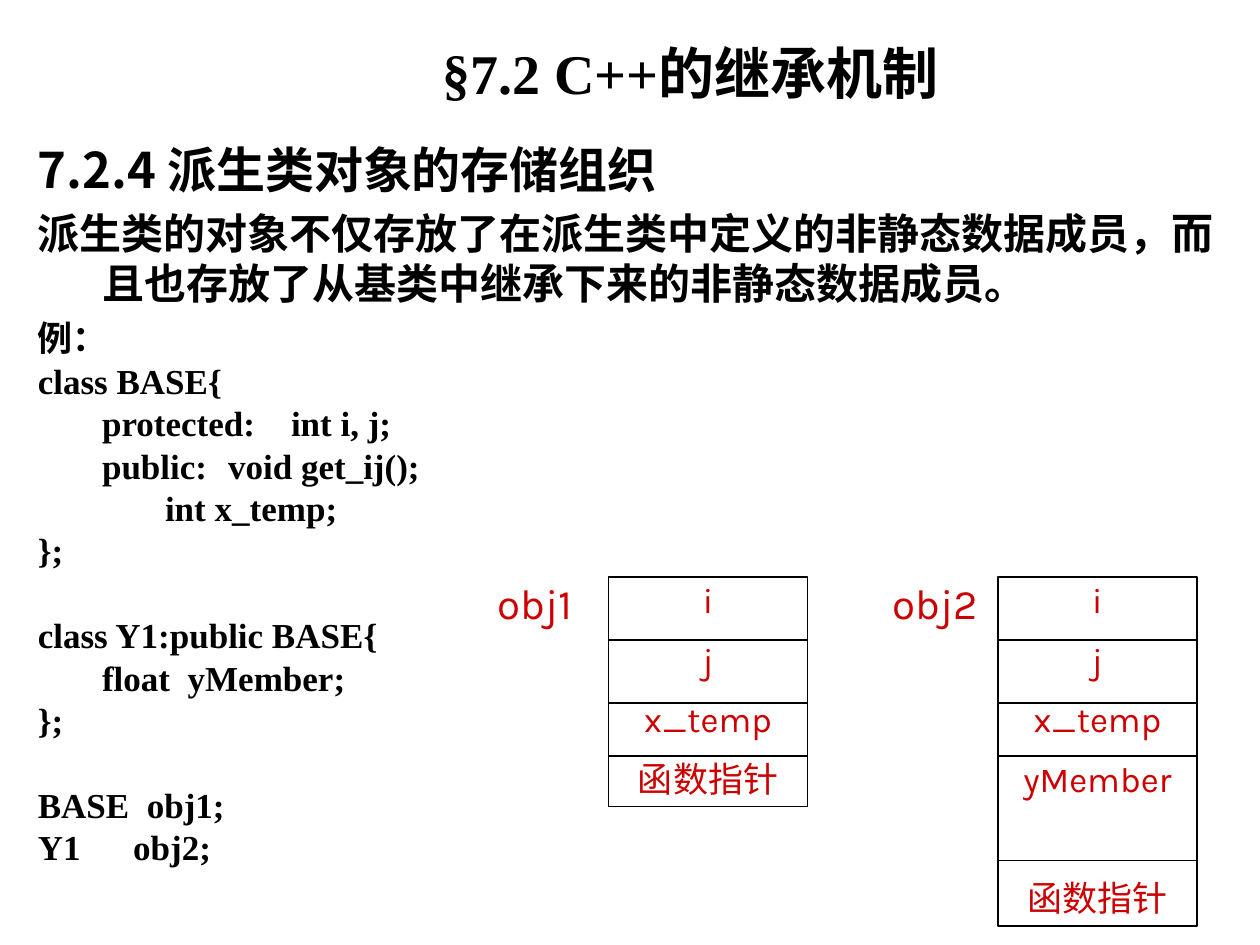
from dataclasses import dataclass
from itertools import accumulate

from lxml.etree import SubElement
from pptx import Presentation
from pptx.dml.color import RGBColor
from pptx.enum.shapes import MSO_CONNECTOR, MSO_SHAPE
from pptx.enum.text import MSO_ANCHOR, MSO_AUTO_SIZE, PP_ALIGN
from pptx.oxml.ns import qn
from pptx.util import Inches, Pt


@dataclass(frozen=True)
class Theme:
    ink: RGBColor = RGBColor(0, 0, 0)
    paper: RGBColor = RGBColor(255, 255, 255)
    accent: RGBColor = RGBColor(0xCC, 0, 0)
    serif: str = "Times New Roman"
    chinese: str = "Noto Sans CJK SC"
    diagram: str = "Karla"
    title: int = 32
    heading: int = 28
    statement: int = 24
    label: int = 24
    code: int = 20
    member: int = 20
    line: float = 0.75


THEME = Theme()

CODE_BLOCKS = [
    ["class BASE{", "\tprotected:\tint i, j;", "\tpublic:\tvoid get_ij();",
     "\t\tint x_temp;", "};"],
    ["class Y1:public BASE{", "\tfloat  yMember;", "};"],
    ["BASE  obj1;", "Y1      obj2;"],
]
BASE_ROWS = [("i", 0.5), ("j", 0.5), ("x_temp", 0.42)]
POINTER = "函数指针"


def place(shape, left, top, width, height):
    shape.left, shape.top = Inches(left), Inches(top)
    shape.width, shape.height = Inches(width), Inches(height)


def format_runs(paragraph, font_name, size, color, bold=False):
    for run in paragraph.runs:
        font = run.font
        font.name, font.size, font.bold = font_name, Pt(size), bold
        font.color.rgb = color
        east_asian = SubElement(run._r.get_or_add_rPr(), qn("a:ea"))
        east_asian.set("typeface", THEME.chinese)


def prepare_frame(shape, anchor=MSO_ANCHOR.TOP):
    text_frame = shape.text_frame
    text_frame.word_wrap = True
    text_frame.auto_size = MSO_AUTO_SIZE.NONE
    text_frame.vertical_anchor = anchor
    return text_frame


def add_title(slide, text):
    title = slide.shapes.title
    place(title, 1.22, 0.21, 8.52, 0.68)
    text_frame = prepare_frame(title, MSO_ANCHOR.BOTTOM)
    text_frame.text = text
    paragraph = text_frame.paragraphs[0]
    paragraph.alignment = PP_ALIGN.CENTER
    format_runs(paragraph, THEME.serif, THEME.title, THEME.ink, True)


def set_hanging_indent(paragraph):
    properties = paragraph._p.get_or_add_pPr()
    properties.set("marL", str(Inches(0.51)))
    properties.set("indent", str(Inches(-0.51)))
    SubElement(properties, qn("a:buNone"))
    tab_list = SubElement(properties, qn("a:tabLst"))
    for position in range(8):
        tab = SubElement(tab_list, qn("a:tab"))
        tab.set("pos", str(Inches(position)))
        tab.set("algn", "l")


def add_body(slide):
    body = slide.placeholders[1]
    place(body, 0.2, 1.15, 9.6, 6.35)
    body.fill.solid()
    body.fill.fore_color.rgb = THEME.paper
    lines = [
        ("7.2.4 派生类对象的存储组织", THEME.chinese, THEME.heading, 0.8, 0),
        ("派生类的对象不仅存放了在派生类中定义的非静态数据成员，"
         "而且也存放了从基类中继承下来的非静态数据成员。",
         THEME.chinese, THEME.statement, 1.0, 5.2),
        ("例：", THEME.serif, THEME.code, 1.0, 5),
    ]
    for block_index, block in enumerate(CODE_BLOCKS):
        for line_index, code in enumerate(block):
            starts_later_block = block_index > 0 and line_index == 0
            space = 29.2 if starts_later_block else 5
            lines.append((code, THEME.serif, THEME.code, 0.8, space))

    text_frame = prepare_frame(body)
    text_frame.text = "\n".join(line[0] for line in lines)
    for paragraph, (_, font_name, size, spacing, space) in zip(text_frame.paragraphs, lines):
        set_hanging_indent(paragraph)
        paragraph.line_spacing = spacing
        paragraph.space_before = Pt(space)
        format_runs(paragraph, font_name, size, THEME.ink, True)


def write_centered(shape, texts, size, spaces):
    text_frame = prepare_frame(shape)
    text_frame.text = "\n".join(texts)
    for paragraph, space in zip(text_frame.paragraphs, spaces):
        paragraph.alignment = PP_ALIGN.CENTER
        paragraph.line_spacing = 0.9
        paragraph.space_before = Pt(space)
        format_runs(paragraph, THEME.diagram, size, THEME.accent)


def add_divider(slide, left, top, width):
    divider = slide.shapes.add_connector(
        MSO_CONNECTOR.STRAIGHT, Inches(left), Inches(top), Inches(left + width), Inches(top))
    divider.line.color.rgb = THEME.ink
    divider.line.width = Pt(THEME.line)
    SubElement(divider._element.spPr, qn("a:effectLst"))


def add_object_layout(slide, name, label_left, box_left, rows, last_space=12.5):
    top, width = 4.58, 1.58
    members = [member for member, _ in rows]
    edges = list(accumulate(height for _, height in rows))

    label = slide.shapes.add_textbox(Inches(label_left), Inches(top), Inches(1), Inches(0.46))
    write_centered(label, [name], THEME.label, [0])

    box = slide.shapes.add_shape(
        MSO_SHAPE.RECTANGLE, Inches(box_left), Inches(top), Inches(width), Inches(edges[-1]))
    box.shadow.inherit = False
    box.fill.background()
    box.line.color.rgb = THEME.ink
    box.line.width = Pt(THEME.line)
    spaces = [0] + [12.5] * (len(rows) - 2) + [last_space]
    write_centered(box, members, THEME.member, spaces)
    for edge in edges[:-1]:
        add_divider(slide, box_left, top + edge, width)


def main():
    presentation = Presentation()
    presentation.slide_width, presentation.slide_height = Inches(10), Inches(7.5)
    slide = presentation.slides.add_slide(presentation.slide_layouts[1])
    add_title(slide, "§7.2 C++的继承机制")
    add_body(slide)
    add_object_layout(slide, "obj1", 3.75, 4.83, BASE_ROWS + [(POINTER, 0.4)])
    add_object_layout(slide, "obj2", 6.92, 7.92,
                      BASE_ROWS + [("yMember", 0.83), (POINTER, 0.52)], last_space=46.5)
    presentation.save("out.pptx")


if __name__ == "__main__":
    main()
